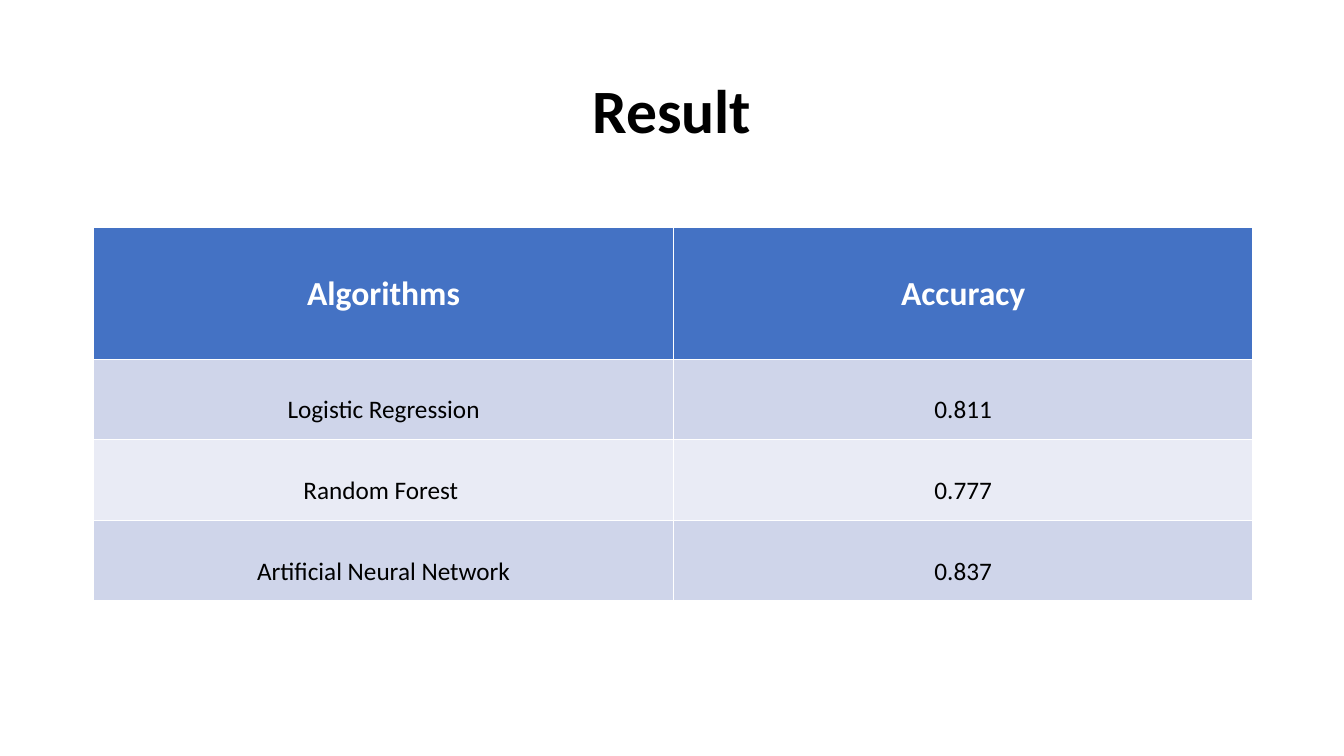
"""Build the slide with the accuracy of each algorithm."""
from dataclasses import dataclass
from typing import Any

from pptx import Presentation
from pptx import util as u
from pptx.dml.color import RGBColor
from pptx.enum import text

BLACK = RGBColor(0x00, 0x00, 0x00)
WHITE = RGBColor(0xFF, 0xFF, 0xFF)
BLUE = RGBColor(0x44, 0x72, 0xC4)
BAND_DARK = RGBColor(0xCF, 0xD5, 0xEA)
BAND_LIGHT = RGBColor(0xE9, 0xEB, 0xF5)
CENTER = text.PP_ALIGN.CENTER


@dataclass(frozen=True)
class RowStyle:
    height: float
    margin_top: float
    fill: RGBColor
    font: dict[str, Any]
    color: RGBColor


@dataclass(frozen=True)
class Row:
    algorithm: str
    accuracy: str
    style: RowStyle


HEADER_FONT = {"name": "Calibri", "size": u.Pt(24), "bold": True}
BODY_FONT = {"name": "Calibri", "size": u.Pt(18), "bold": False}
TITLE_FONT = {"name": "Calibri", "size": u.Pt(44), "bold": True}

HEADER = RowStyle(94, 32.9, BLUE, HEADER_FONT, WHITE)
DARK = RowStyle(57.6, 25.6, BAND_DARK, BODY_FONT, BLACK)
LIGHT = RowStyle(57.6, 25.6, BAND_LIGHT, BODY_FONT, BLACK)

ROWS = [
    Row("Algorithms", "Accuracy", HEADER),
    Row("Logistic Regression", "0.811", DARK),
    Row("Random Forest ", "0.777", LIGHT),
    Row("Artificial Neural Network", "0.837", DARK),
]


def set_attrs(obj: Any, values: dict[str, Any]) -> None:
    for name, value in values.items():
        setattr(obj, name, value)


def write(tf: Any, words: str, font: dict[str, Any], color: RGBColor) -> Any:
    p = tf.paragraphs[0]
    p.alignment = CENTER
    r = p.add_run()
    r.text = words
    set_attrs(r.font, font)
    r.font.color.rgb = color
    return p


def add_title(s: Any, words: str) -> None:
    sp = s.shapes.title
    set_attrs(sp, {"left": u.Pt(66), "top": u.Pt(28.8),
                   "width": u.Pt(828), "height": u.Pt(104.4)})
    sp.text_frame.vertical_anchor = text.MSO_ANCHOR.MIDDLE
    p = write(sp.text_frame, words, TITLE_FONT, BLACK)
    p.line_spacing = 0.9


def add_results(s: Any, rows: list[Row]) -> None:
    height = sum(row.style.height for row in rows)
    table = s.shapes.add_table(len(rows), 2, u.Pt(67), u.Pt(162.5),
                               u.Pt(828), u.Pt(height)).table
    for i, row in enumerate(rows):
        style = row.style
        table.rows[i].height = u.Pt(style.height)
        for cell, words in zip(table.rows[i].cells, (row.algorithm, row.accuracy)):
            cell.margin_top = u.Pt(style.margin_top)
            cell.fill.solid()
            cell.fill.fore_color.rgb = style.fill
            write(cell.text_frame, words, style.font, style.color)


def main() -> None:
    prs = Presentation()
    set_attrs(prs, {"slide_width": u.Pt(960), "slide_height": u.Pt(540)})
    s = prs.slides.add_slide(prs.slide_layouts[5])
    add_title(s, "Result")
    add_results(s, ROWS)
    prs.save("out.pptx")


if __name__ == "__main__":
    main()
